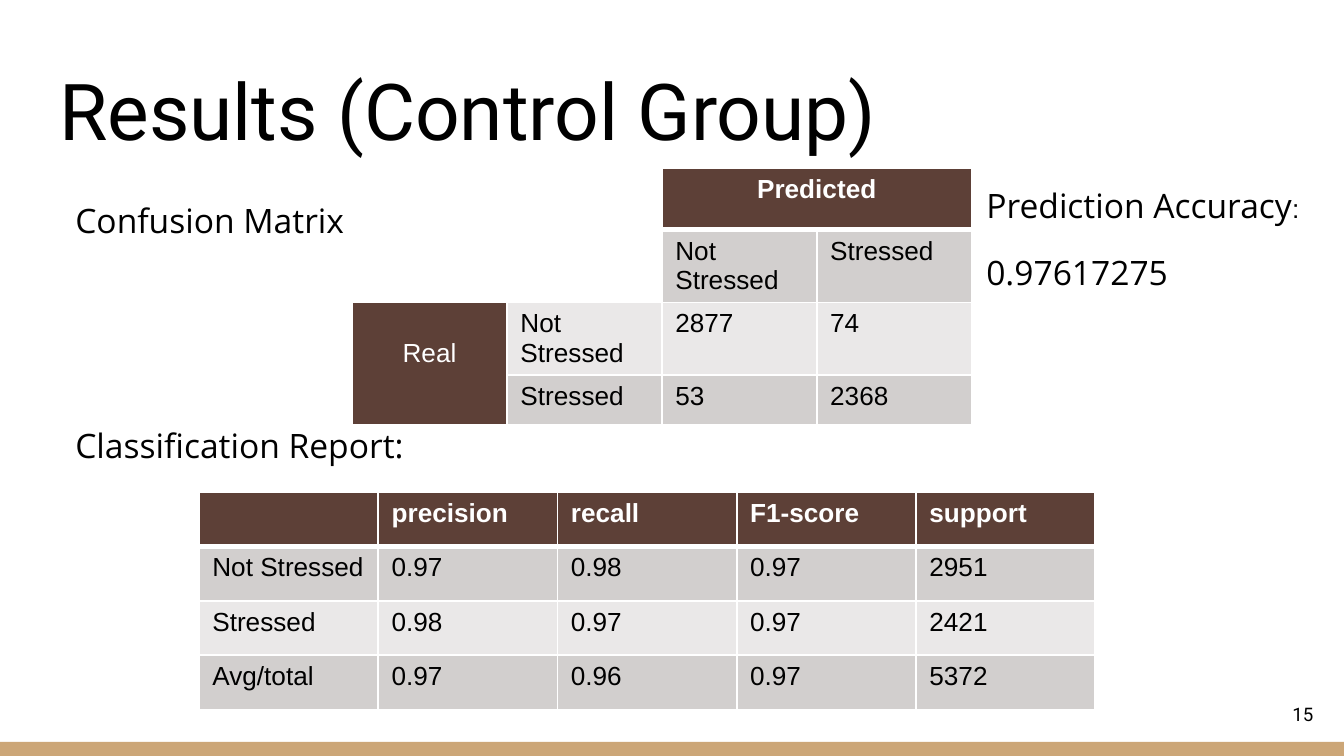
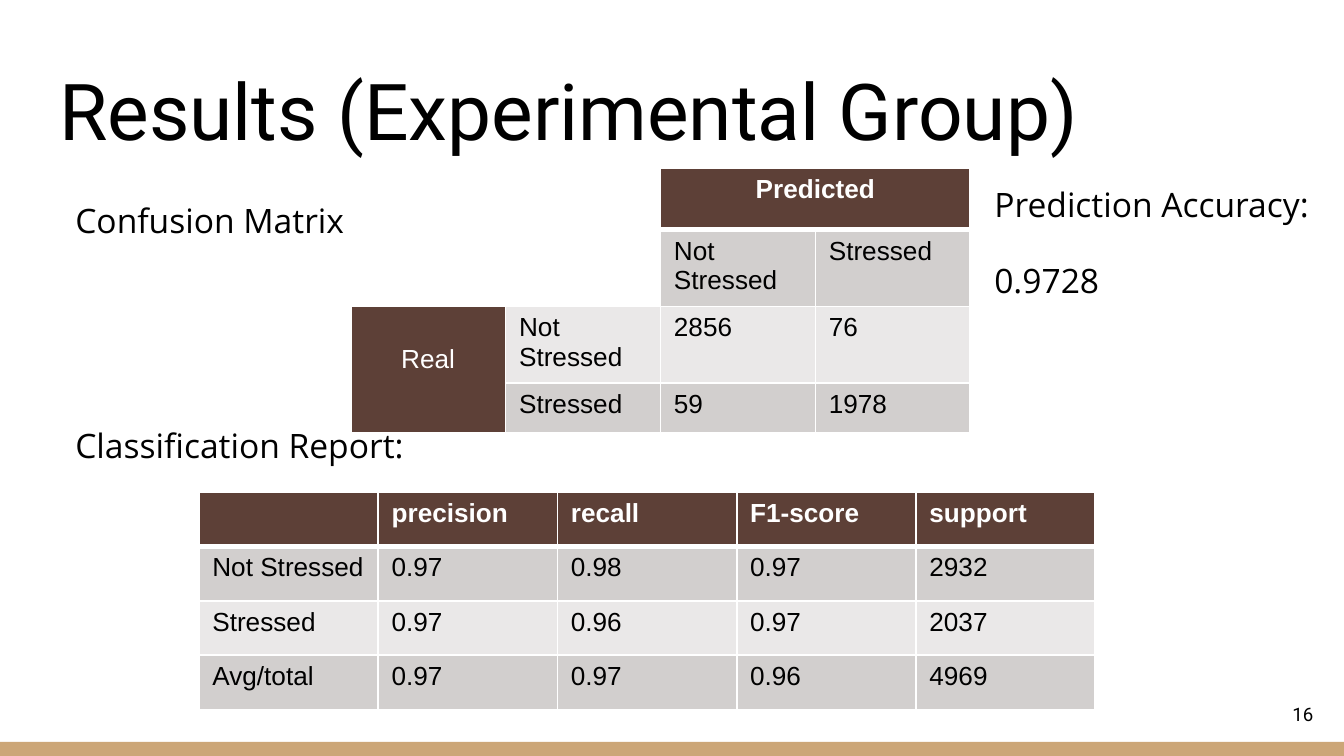
from lxml import etree
from pptx import Presentation
from pptx.dml.color import RGBColor
from pptx.enum.shapes import MSO_SHAPE
from pptx.enum.text import MSO_ANCHOR, MSO_AUTO_SIZE, PP_ALIGN
from pptx.oxml.ns import qn
from pptx.util import Inches, Pt

RECTANGLE = MSO_SHAPE.RECTANGLE
TOP, MIDDLE, BOTTOM = MSO_ANCHOR.TOP, MSO_ANCHOR.MIDDLE, MSO_ANCHOR.BOTTOM
LEFT, CENTER, RIGHT = PP_ALIGN.LEFT, PP_ALIGN.CENTER, PP_ALIGN.RIGHT
NO_AUTOFIT = MSO_AUTO_SIZE.NONE

# Shared look
BLACK, WHITE = "000000", "FFFFFF"
BROWN, TAN = "5D4037", "CCA677"
DARK_ROW, LIGHT_ROW = "D2CFCE", "EAE8E8"
TITLE_FONT, BODY_FONT, TABLE_FONT = "Roboto", "Open Sans", "Arial"

# Grid of 100 columns by 56.25 rows; boxes are (column, row, columns, rows)
UNIT = 0.1
COLUMNS, ROWS = 100, 56.25
BAND_BOX = (0, 55.2, COLUMNS, 1.05)
TITLE_BOX = (3.4, 3.5, 93.2, 9.1)
BODY_BOX = (3.4, 13.4, 93.2, 36.7)
REPORT_BOX = (14.8, 36.6, 66.7, 16.2)
NUMBER_BOX = (92.7, 51, 6, 4.3)
MATRIX_TOP, MATRIX_WIDTH = 12.5, 46.1


def grid(*units):
    return [Inches(unit * UNIT) for unit in units]


def color(hex_value):
    return RGBColor.from_string(hex_value)


def add_span(para, text, size=18, font=BODY_FONT, ink=BLACK, bold=False):
    span = para.add_run()
    span.text = text
    span.font.size = Pt(size)
    span.font.name = font
    span.font.bold = bold
    span.font.color.rgb = color(ink)


def write(frame, text, align=LEFT, before=0, spacing=None, **look):
    """Fill the first empty paragraph of a frame, or add one."""
    para = frame.paragraphs[-1]
    if para.runs:
        para = frame.add_paragraph()
    para.alignment = align
    para.space_before = Pt(before)
    if spacing:
        para.line_spacing = spacing
    add_span(para, text, **look)
    return para


def set_frame(frame, inset=0.1, anchor=TOP):
    frame.word_wrap = True
    frame.auto_size = NO_AUTOFIT
    frame.vertical_anchor = anchor
    frame.margin_left = frame.margin_right = Inches(0.1)
    frame.margin_top = frame.margin_bottom = Inches(inset)
    return frame


def place(shape, box):
    shape.left, shape.top, shape.width, shape.height = grid(*box)


def add_band(deck, page):
    """Draw the bottom band and hand it to the master."""
    band = page.shapes.add_shape(RECTANGLE, *grid(*BAND_BOX))
    band.shadow.inherit = False
    band.fill.solid()
    band.fill.fore_color.rgb = color(TAN)
    band.line.fill.background()
    deck.slide_masters[0].shapes.element.append(band.element)


def add_title(page, box, text):
    title = page.shapes.title
    place(title, box)
    write(set_frame(title.text_frame, anchor=BOTTOM), text, size=42, font=TITLE_FONT)


def add_headings(page, box):
    body = page.placeholders[1]
    place(body, box)
    frame = set_frame(body.text_frame)
    for text, before in (("Confusion Matrix", 0), ("Classification Report:", 95.7)):
        para = write(frame, text, before=before, spacing=1.15)
        properties = para._p.get_or_add_pPr()
        properties.set("marL", str(Inches(0.12)))
        properties.set("indent", "0")
        etree.SubElement(properties, qn("a:buNone"))


def add_text_box(page, box, **frame_format):
    return set_frame(page.shapes.add_textbox(*grid(*box)).text_frame, **frame_format)


def style_cell(cell, fill, top=1, bottom=1):
    """White borders, then the fill: the order the file format asks for."""
    properties = cell._tc.get_or_add_tcPr()
    for side, width in (("L", 1), ("R", 1), ("T", top), ("B", bottom)):
        line = etree.SubElement(properties, qn("a:ln" + side), w=str(Pt(width)))
        solid = etree.SubElement(line, qn("a:solidFill"))
        etree.SubElement(solid, qn("a:srgbClr"), val=WHITE)
    cell.fill.solid()
    cell.fill.fore_color.rgb = color(fill)


def add_grid_table(page, box, rows, heights, fill_at):
    """A table with equal columns, a thick rule under its first row."""
    count = len(rows[0])
    table = page.shapes.add_table(len(rows), count, *grid(*box)).table
    for column in table.columns:
        column.width = Inches(box[2] * UNIT / count)
    for row, height in zip(table.rows, grid(*heights)):
        row.height = height
    for i, values in enumerate(rows):
        for j, value in enumerate(values):
            cell, fill = table.cell(i, j), fill_at(i, j)
            style_cell(cell, fill, top=3 if i == 1 else 1, bottom=3 if i == 0 else 1)
            if value:
                header = fill == BROWN
                write(cell.text_frame, value, size=14, font=TABLE_FONT,
                      ink=WHITE if header else BLACK, bold=header and i == 0,
                      align=CENTER if header and count == 4 else LEFT)
    return table


def add_matrix(page, left, counts, heights):
    """Confusion matrix: predicted classes across, real classes down."""
    def fill_at(i, j):
        if i < 2 and j < 2:
            return WHITE
        if i == 0 or j == 0:
            return BROWN
        return LIGHT_ROW if i == 2 else DARK_ROW

    classes = ["Not Stressed", "Stressed"]
    rows = [["", "", "Predicted", ""],
            ["", "", *classes],
            ["Real", classes[0], *counts[0]],
            ["", classes[1], *counts[1]]]
    box = (left, MATRIX_TOP, MATRIX_WIDTH, sum(heights))
    table = add_grid_table(page, box, rows, heights, fill_at)
    table.cell(0, 2).merge(table.cell(0, 3))
    real = table.cell(2, 0)
    real.merge(table.cell(3, 0))
    real.vertical_anchor = MIDDLE
    real.margin_bottom = Inches(0.2)


def add_report(page, box, scores):
    """Classification report: one banded row for each class."""
    def fill_at(i, j):
        return BROWN if i == 0 else DARK_ROW if i % 2 else LIGHT_ROW

    names = ["Not Stressed", "Stressed", "Avg/total"]
    rows = [["", "precision", "recall", "F1-score", "support"]]
    rows += [[name, *values] for name, values in zip(names, scores)]
    add_grid_table(page, box, rows, [box[3] / len(rows)] * len(rows), fill_at)


def add_accuracy(page, box, value, gap, colon):
    frame = add_text_box(page, box, inset=0.05)
    para = write(frame, "Prediction Accuracy")
    add_span(para, ":", **colon)
    write(frame, value, before=gap)


def add_number(page, box, number):
    frame = add_text_box(page, box, anchor=MIDDLE)
    write(frame, str(number), align=RIGHT, size=10, font=TITLE_FONT)


def add_results(deck, result):
    page = deck.slides.add_slide(deck.slide_layouts[1])
    add_title(page, TITLE_BOX, f"Results ({result['group']} Group)")
    add_headings(page, BODY_BOX)
    add_report(page, REPORT_BOX, result["scores"])
    add_matrix(page, **result["matrix"])
    add_accuracy(page, **result["accuracy"])
    add_number(page, NUMBER_BOX, result["number"])
    return page


RESULTS = [
    {"group": "Control", "number": 15,
     "matrix": {"left": 26.2, "counts": [["2877", "74"], ["53", "2368"]],
                "heights": [4.6, 5.4, 5.4, 3.7]},
     "accuracy": {"box": (72.4, 13.3, 25.9, 9.4), "value": "0.97617275",
                  "gap": 14, "colon": {"size": 14, "font": TABLE_FONT}},
     "scores": [["0.97", "0.98", "0.97", "2951"],
                ["0.98", "0.97", "0.97", "2421"],
                ["0.97", "0.96", "0.97", "5372"]]},
    {"group": "Experimental", "number": 16,
     "matrix": {"left": 26.1, "counts": [["2856", "76"], ["59", "1978"]],
                "heights": [4.6, 5.7, 5.7, 3.7]},
     "accuracy": {"box": (73, 13.2, 26.4, 10.1), "value": "0.9728",
                  "gap": 19, "colon": {}},
     "scores": [["0.97", "0.98", "0.97", "2932"],
                ["0.97", "0.96", "0.97", "2037"],
                ["0.97", "0.97", "0.96", "4969"]]},
]

deck = Presentation()
deck.slide_width, deck.slide_height = grid(COLUMNS, ROWS)
pages = [add_results(deck, result) for result in RESULTS]
add_band(deck, pages[0])
deck.save("out.pptx")
